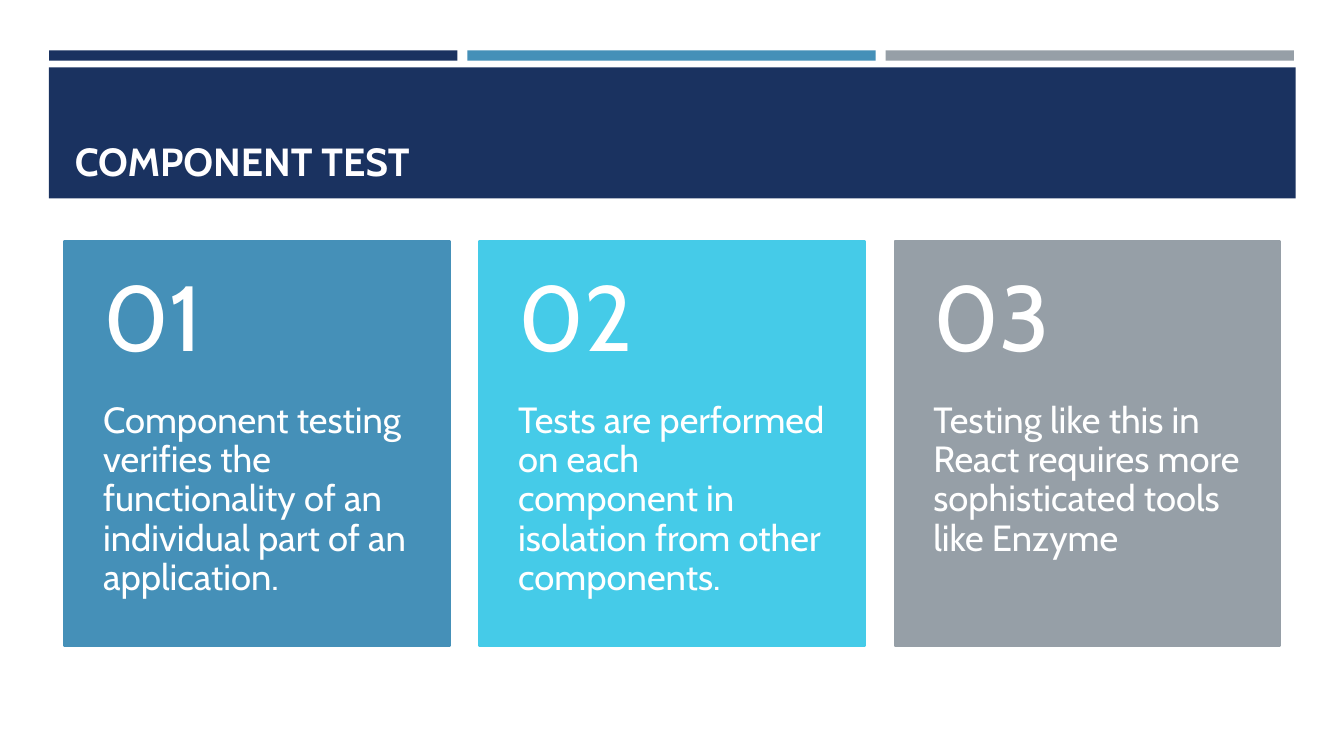
from dataclasses import dataclass

from pptx import Presentation
from pptx.dml.color import RGBColor as RGB
from pptx.enum.shapes import MSO_SHAPE as Kind
from pptx.enum.text import MSO_ANCHOR as Anchor, MSO_AUTO_SIZE as Fit, PP_ALIGN as Align
from pptx.shapes.base import BaseShape
from pptx.slide import Slide
from pptx.util import Cm, Pt

NAVY = RGB(0x1A, 0x32, 0x60)
BLUE = RGB(0x45, 0x90, 0xB8)
CYAN = RGB(0x45, 0xCB, 0xE8)
GREY = RGB(0x96, 0x9F, 0xA7)
WHITE = RGB(0xFF, 0xFF, 0xFF)
CREAM = RGB(0xFF, 0xFE, 0xFF)
FONT = "Cabin"


@dataclass(frozen=True)
class Box:
    left: float
    top: float
    width: float
    height: float

    def place(self) -> tuple[Cm, Cm, Cm, Cm]:
        return Cm(self.left), Cm(self.top), Cm(self.width), Cm(self.height)

    def shift(self, step: float) -> "Box":
        return Box(self.left + step, self.top, self.width, self.height)


@dataclass(frozen=True)
class Card:
    color: RGB
    text: str


BAR = Box(1.24, 1.27, 10.29, 0.26)
BAR_STEP = 10.54
BAND = Box(1.23, 1.7, 31.42, 3.3)
TITLE = Box(1.63, 1.96, 30.63, 2.82)
PANEL = Box(1.63, 6.07, 9.7, 10.21)
HEAD = Box(1.63, 6.07, 9.7, 4.09)
BODY = Box(1.63, 10.13, 9.7, 6.12)
CARD_STEP = 10.46
SIDE = 0.97

BARS = [NAVY, BLUE, GREY]
CARDS = [
    Card(BLUE, "Component testing verifies the functionality of an "
               "individual part of an application."),
    Card(CYAN, "Tests are performed on each component in isolation "
               "from other components."),
    Card(GREY, "Testing like this in React requires more "
               "sophisticated tools like\u00a0Enzyme"),
]


def draw_rect(slide: Slide, box: Box, color: RGB, edge: float = 0) -> None:
    rect = slide.shapes.add_shape(Kind.RECTANGLE, *box.place())
    rect.shadow.inherit = False
    rect.fill.solid()
    rect.fill.fore_color.rgb = color
    if edge:
        rect.line.color.rgb = color
        rect.line.width = Pt(edge)
    else:
        rect.line.fill.background()


def set_text(shape: BaseShape, text: str, size: int, color: RGB,
             anchor: Anchor, bold: bool = False) -> None:
    frame = shape.text_frame
    frame.text = text
    frame.word_wrap = True
    frame.auto_size = Fit.NONE
    frame.vertical_anchor = anchor
    para = frame.paragraphs[0]
    para.alignment = Align.LEFT
    para.line_spacing = 0.9
    font = para.runs[0].font
    font.name = FONT
    font.size = Pt(size)
    font.bold = bold
    font.color.rgb = color


def add_label(slide: Slide, box: Box, text: str, size: int,
              anchor: Anchor, above: float, below: float) -> None:
    label = slide.shapes.add_textbox(*box.place())
    set_text(label, text, size, WHITE, anchor)
    frame = label.text_frame
    frame.margin_left = frame.margin_right = Cm(SIDE)
    frame.margin_top = Cm(above)
    frame.margin_bottom = Cm(below)


def draw_card(slide: Slide, card: Card, index: int) -> None:
    step = index * CARD_STEP
    draw_rect(slide, PANEL.shift(step), card.color, 1.75)
    add_label(slide, BODY.shift(step), card.text, 26, Anchor.TOP, 0, 0.91)
    add_label(slide, HEAD.shift(step), f"{index + 1:02}", 66, Anchor.MIDDLE, 0.46, 0.46)


def draw_title(slide: Slide, text: str) -> None:
    draw_rect(slide, BAND, NAVY)
    title = slide.shapes.title
    title.left, title.top, title.width, title.height = TITLE.place()
    set_text(title, text, 28, CREAM, Anchor.BOTTOM, True)
    slide.shapes.element.append(title.element)


def main() -> None:
    deck = Presentation()
    deck.slide_width, deck.slide_height = Cm(33.87), Cm(19.05)
    slide = deck.slides.add_slide(deck.slide_layouts[5])
    for index, color in enumerate(BARS):
        draw_rect(slide, BAR.shift(index * BAR_STEP), color)
    draw_title(slide, "COMPONENT TEST")
    for index, card in enumerate(CARDS):
        draw_card(slide, card, index)
    deck.save("out.pptx")


main()
